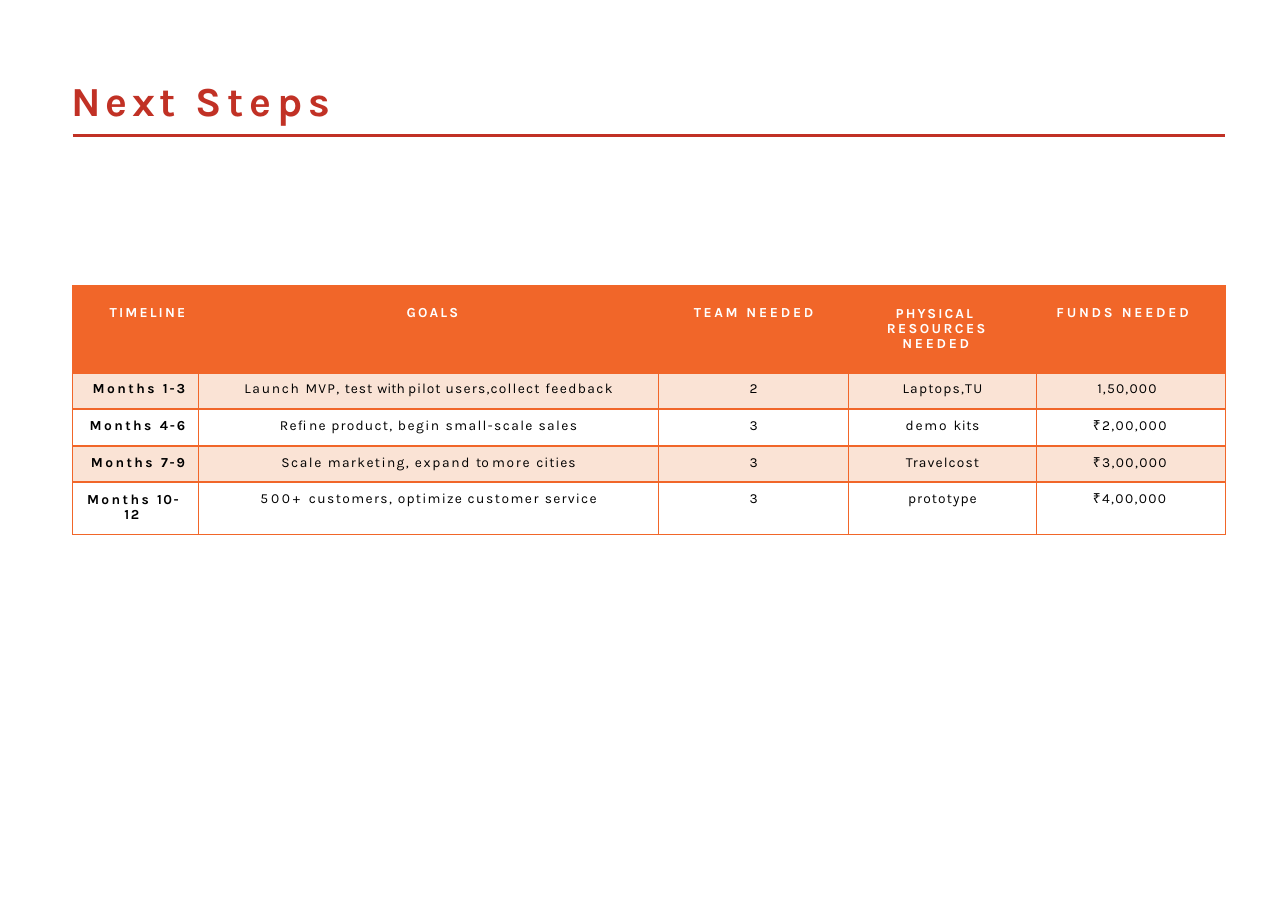
from lxml import etree
from pptx import Presentation
from pptx.dml.color import RGBColor
from pptx.enum.shapes import MSO_CONNECTOR
from pptx.enum.text import PP_ALIGN
from pptx.oxml.ns import qn
from pptx.util import Inches, Pt

LEFT, CENTER, RIGHT = PP_ALIGN.LEFT, PP_ALIGN.CENTER, PP_ALIGN.RIGHT
STRAIGHT = MSO_CONNECTOR.STRAIGHT

RED = RGBColor(0xC1, 0x31, 0x25)
ORANGE = RGBColor(0xF1, 0x66, 0x29)
PEACH = RGBColor(0xFA, 0xE3, 0xD5)
WHITE = RGBColor(0xFF, 0xFF, 0xFF)
BLACK = RGBColor(0x00, 0x00, 0x00)
FONT = "Karla"
NO_TABLE_STYLE = "{2D5ABB26-0587-4C30-8999-92F81FD0307C}"

COLUMN_WIDTHS = [1.14, 4.18, 1.72, 1.71, 1.71]
ROW_HEIGHTS = [0.79, 0.32, 0.34, 0.33, 0.47]
ROW_TOP_MARGINS = [0.17, 0.07, 0.08, 0.08, 0.08]

# Each text is a list of (words, letter spacing in points)
HEADERS = [
    ([("TIMELINE", 1.4)], dict(align=RIGHT)),
    ([("GOALS", 1.4)], dict(align=CENTER, indent=0.07)),
    ([("TEAM ", 1.7), ("NEEDED", 1.8)], dict(align=CENTER)),
    ([("PHYSICAL ", 1.4), ("RESOURCES", 1.6)],
     dict(indent=0.35, first_line=0.08, leading=9.6)),
    ([("FUNDS NEEDED", 1.8)], dict(indent=0.18)),
]
# Months, goals, team, resources, funds
STEPS = [
    ([("1-", 1.2), ("3", 0.4)],
     [("Launch ", 1.1), ("MVP, ", 0.8), ("test ", 0.6), ("with ", 0),
      ("pilot ", 0.6), ("users,collect ", 0.8), ("feedback", 0.9)],
     "2", [("Laptops,TU", 0.8)], [("1,50,000", 0.8)]),
    ([("4-", 1.2), ("6", 0.4)],
     [("Refine product, ", 0.8), ("begin ", 1), ("small-scale sales", 0.9)],
     "3", [("demo ", 1.2), ("kits", 0.3)], [("₹2,00,000", 0.9)]),
    ([("7-", 1.2), ("9", 0.4)],
     [("Scale ", 1), ("marketing, ", 0.9), ("expand ", 1.1), ("to ", 0),
      ("more ", 1.1), ("cities", 0.6)],
     "3", [("Travelcost", 0.7)], [("₹3,00,000", 0.9)]),
    ([("10- 12", 0.9)],
     [("500+ ", 1.8), ("customers, ", 0.9), ("optimize ", 0.8),
      ("customer ", 1), ("service", 0.8)],
     "3", [("prototype", 0.7)], [("₹4,00,000", 0.9)]),
]


def write_text(para, spans, size=9, color=BLACK, bold=False, align=LEFT,
               indent=0, first_line=0, leading=None):
    para.alignment = align
    properties = para._p.get_or_add_pPr()
    properties.set("marL", str(Inches(indent)))
    properties.set("indent", str(Inches(first_line)))
    if leading:
        para.line_spacing = Pt(leading)
    for words, spacing in spans:
        span = para.add_run()
        span.text = words
        span.font.name = FONT
        span.font.size = Pt(size)
        span.font.bold = bold
        span.font.color.rgb = color
        span._r.get_or_add_rPr().set("spc", str(round(spacing * 100)))


def add_title(page):
    box = page.shapes.add_textbox(Inches(0.65), Inches(0.66), Inches(7.9), Inches(0.55))
    frame = box.text_frame
    frame.word_wrap = True
    frame.margin_left = frame.margin_right = frame.margin_bottom = 0
    frame.margin_top = Inches(0.02)
    write_text(frame.paragraphs[0], [("Next ", 3), ("Steps", 3.7)],
               size=27, color=RED, bold=True)


def add_rule(page):
    rule = page.shapes.add_connector(STRAIGHT, Inches(0.66), Inches(1.23),
                                     Inches(11.12), Inches(1.23))
    rule.line.color.rgb = RED
    rule.line.width = Pt(1.5)
    etree.SubElement(rule._element.spPr, qn("a:effectLst"))


def set_borders(cell, **widths):
    properties = cell._tc.get_or_add_tcPr()
    for side in "LRTB":
        if side in widths:
            line = etree.SubElement(properties, qn(f"a:ln{side}"),
                                    w=str(Pt(widths[side])))
            fill = etree.SubElement(line, qn("a:solidFill"))
            etree.SubElement(fill, qn("a:srgbClr"), val=str(ORANGE))


def format_cell(cell, row, column):
    last_row, last_column = len(ROW_HEIGHTS) - 1, len(COLUMN_WIDTHS) - 1
    cell.margin_left = cell.margin_bottom = 0
    cell.margin_right = Inches(0.12 if column == 0 else 0)
    cell.margin_top = Inches(ROW_TOP_MARGINS[row])
    if row == 0:
        sides = {"T": 1.5, "B": 0.25}
        if column == 0:
            sides["L"] = 0.75
        if column == last_column:
            sides["R"] = 0.75
    else:
        sides = {"L": 0.75, "R": 0.75, "T": 0.25 if row == 1 else 1.5,
                 "B": 0.75 if row == last_row else 1.5}
    set_borders(cell, **sides)
    # Header orange, then peach on every other row
    if row % 2 or row == 0:
        cell.fill.solid()
        cell.fill.fore_color.rgb = PEACH if row else ORANGE
    else:
        cell.fill.background()


def fill_header(table):
    for column, (spans, layout) in enumerate(HEADERS):
        write_text(table.cell(0, column).text_frame.paragraphs[0], spans,
                   color=WHITE, bold=True, **layout)
    resources = table.cell(0, 3)
    resources.margin_top = Inches(0.19)
    write_text(resources.text_frame.add_paragraph(), [("NEEDED", 1.8)],
               color=WHITE, bold=True, indent=0.49, leading=10.2)


def fill_step(table, row, step):
    months, goals, team, resources, funds = step
    if row == len(STEPS):
        months_layout = dict(indent=0.47, first_line=-0.34, leading=10.2)
        table.cell(row, 0).margin_top = Inches(0.09)
    else:
        months_layout = dict(align=RIGHT)
    centered = dict(align=CENTER)
    contents = [
        ([("Months ", 1.6)] + months, dict(bold=True, **months_layout)),
        (goals, centered),
        ([(team, 0.5)], centered),
        (resources, centered),
        (funds, dict(indent=0.55 if row == 1 else 0.51)),
    ]
    for column, (spans, layout) in enumerate(contents):
        write_text(table.cell(row, column).text_frame.paragraphs[0], spans, **layout)


def add_steps_table(page):
    frame = page.shapes.add_table(
        len(ROW_HEIGHTS), len(COLUMN_WIDTHS), Inches(0.66), Inches(2.6),
        Inches(sum(COLUMN_WIDTHS)), Inches(sum(ROW_HEIGHTS)))
    table = frame.table
    table.horz_banding = False
    table._tbl.tblPr.find(qn("a:tableStyleId")).text = NO_TABLE_STYLE
    for column, width in enumerate(COLUMN_WIDTHS):
        table.columns[column].width = Inches(width)
    for row, height in enumerate(ROW_HEIGHTS):
        table.rows[row].height = Inches(height)
        for column in range(len(COLUMN_WIDTHS)):
            format_cell(table.cell(row, column), row, column)
    fill_header(table)
    for row, step in enumerate(STEPS, start=1):
        fill_step(table, row, step)


def main():
    deck = Presentation()
    deck.slide_width, deck.slide_height = Inches(11.69), Inches(8.26)
    page = deck.slides.add_slide(deck.slide_layouts[6])
    # Heading
    add_title(page)
    add_rule(page)
    # Plan by quarter
    add_steps_table(page)
    deck.save("out.pptx")


if __name__ == "__main__":
    main()
